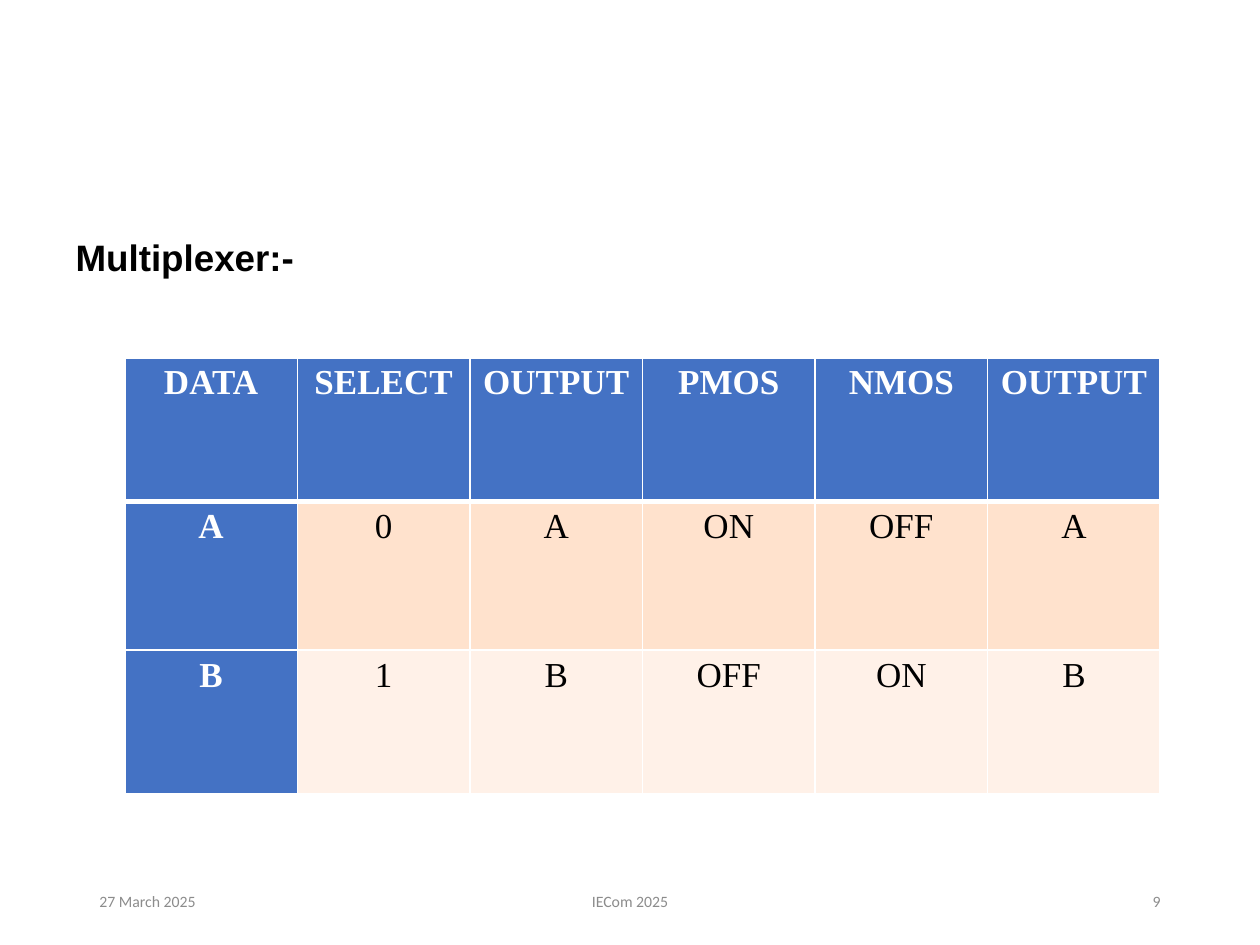
from dataclasses import dataclass

from lxml import etree
from pptx import Presentation
from pptx import util as u
from pptx.dml.color import RGBColor
from pptx.enum import text as t
from pptx.oxml import ns


@dataclass(frozen=True)
class Theme:
    blue: str = "4472C4"
    white: str = "FFFFFF"
    black: str = "000000"
    grey: str = "8C8C8C"
    bands: tuple = ("FFE2CD", "FFF1E8")
    head: tuple = ("Arial", 21)
    cell: tuple = ("Times New Roman", 20)
    foot: tuple = ("Calibri", 9)


T = Theme()
W, H = 10, 7.5
LEFT, MID, RIGHT = t.PP_ALIGN.LEFT, t.PP_ALIGN.CENTER, t.PP_ALIGN.RIGHT
ROWS = [
    ["DATA", "SELECT", "OUTPUT", "PMOS", "NMOS", "OUTPUT"],
    ["A", "0", "A", "ON", "OFF", "A"],
    ["B", "1", "B", "OFF", "ON", "B"],
]
HIGHS = [1.14, 1.18, 1.14]
COL = 1.37


def write(para, words, font, color, bold=False, align=LEFT):
    """Add one formatted run to a paragraph."""
    para.alignment = align
    run = para.add_run()
    run.text = words
    run.font.name, run.font.size = font[0], u.Pt(font[1])
    run.font.bold = bold
    run.font.color.rgb = RGBColor.from_string(color)


def add_head(slide, words):
    """Fill the body placeholder with a heading that has no bullet."""
    slide.shapes.title.element.getparent().remove(slide.shapes.title.element)
    body = slide.placeholders[1]
    body.left, body.top = u.Inches(0.05 * W), u.Inches(1.76)
    body.width, body.height = u.Inches(0.9 * W), u.Inches(5.19)
    body.text_frame.auto_size = t.MSO_AUTO_SIZE.NONE
    para = body.text_frame.paragraphs[0]
    para.line_spacing, para.space_before = 1.15, u.Pt(0)
    props = para._p.get_or_add_pPr()
    props.set("marL", "0")
    props.set("indent", "0")
    etree.SubElement(props, ns.qn("a:buNone"))
    write(para, words, T.head, T.black, bold=True)


def add_edge(cell, side, points):
    """Draw one white cell border ahead of the cell's fill."""
    props = cell._tc.get_or_add_tcPr()
    line = etree.Element(ns.qn(f"a:ln{side}"), w=str(u.Pt(points)))
    fill = etree.SubElement(line, ns.qn("a:solidFill"))
    etree.SubElement(fill, ns.qn("a:srgbClr"), val=T.white)
    props.insert("LRTB".index(side), line)


def fill_cell(cell, words, row, col):
    """Style a cell by its place: header row, key column or banded data."""
    key = row == 0 or col == 0
    cell.margin_left = cell.margin_right = u.Inches(0.07)
    cell.margin_top = cell.margin_bottom = 0
    cell.fill.solid()
    back = T.blue if key else T.bands[row - 1]
    cell.fill.fore_color.rgb = RGBColor.from_string(back)
    para = cell.text_frame.paragraphs[0]
    para.line_spacing, para.space_after = 1.15, u.Pt(8)
    write(para, words, T.cell, T.white if key else T.black, key, MID)
    # The rule below the header is heavier
    thick = {(0, "B"): 3, (1, "T"): 3}
    for side in "LRTB":
        add_edge(cell, side, thick.get((row, side), 1))


def add_grid(slide, left, top):
    """Add the truth table with equal columns."""
    wide = len(ROWS[0])
    grid = slide.shapes.add_table(
        len(ROWS), wide, u.Inches(left), u.Inches(top),
        u.Inches(COL * wide), u.Inches(sum(HIGHS))).table
    for col in grid.columns:
        col.width = u.Inches(COL)
    for r, line in enumerate(ROWS):
        grid.rows[r].height = u.Inches(HIGHS[r])
        for c, words in enumerate(line):
            fill_cell(grid.cell(r, c), words, r, c)


def add_foot(slide, words, left, wide, align):
    """Add one footer text box."""
    box = slide.shapes.add_textbox(
        u.Inches(left), u.Inches(6.95), u.Inches(wide), u.Inches(0.4))
    frame = box.text_frame
    frame.word_wrap = True
    frame.vertical_anchor = t.MSO_ANCHOR.MIDDLE
    write(frame.paragraphs[0], words, T.foot, T.grey, align=align)


def main():
    deck = Presentation()
    deck.slide_width, deck.slide_height = u.Inches(W), u.Inches(H)
    slide = deck.slides.add_slide(deck.slide_layouts[1])

    # Footer: date, event, number
    edge, side, mid = 0.69, 2.25, 3.38
    add_foot(slide, "27 March 2025", edge, side, LEFT)
    add_foot(slide, "IECom 2025", (W - mid) / 2, mid, MID)
    add_foot(slide, "9", W - edge - side, side, RIGHT)

    # Heading and table
    add_head(slide, "Multiplexer:-")
    add_grid(slide, 0.99, 2.84)
    deck.save("out.pptx")


if __name__ == "__main__":
    main()
